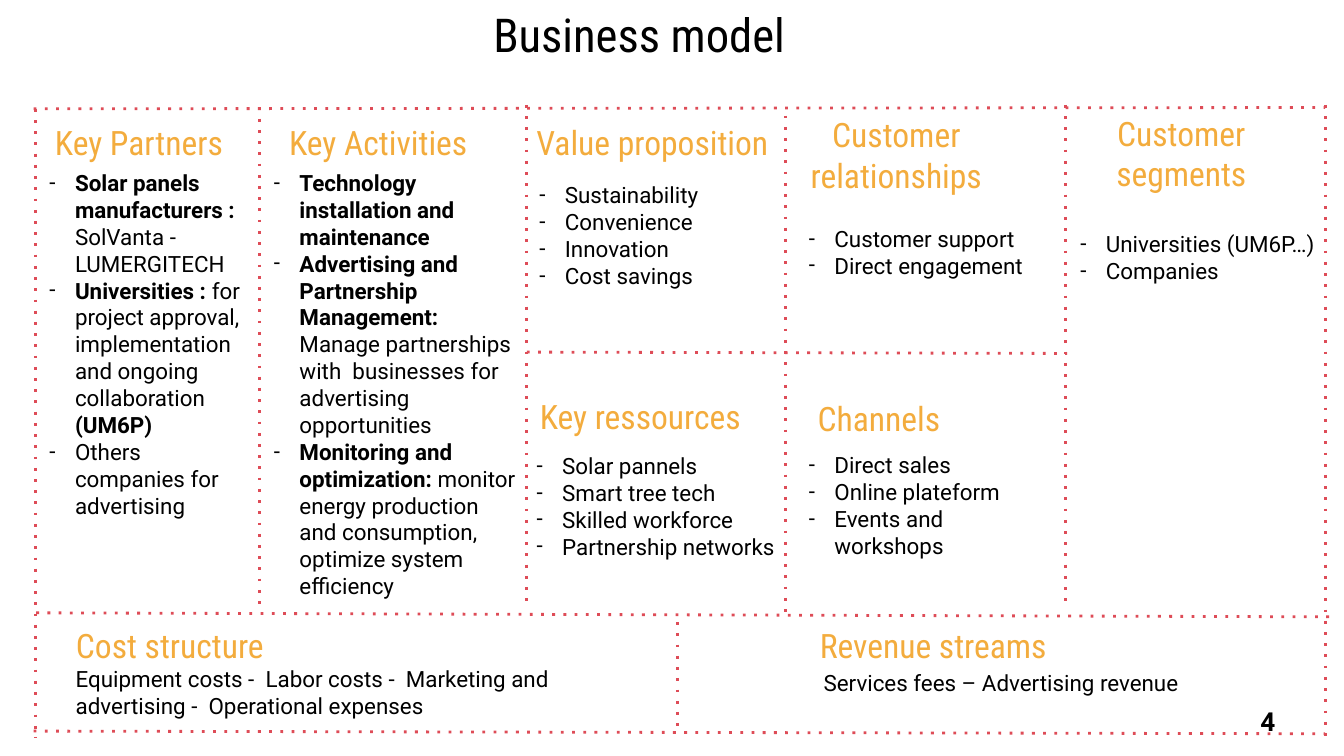
"""Build a business model canvas slide."""
from dataclasses import dataclass

from pptx import Presentation
from pptx.dml.color import RGBColor
from pptx.enum.shapes import MSO_CONNECTOR
from pptx.enum.text import MSO_ANCHOR, MSO_AUTO_SIZE, PP_ALIGN
from pptx.oxml.ns import qn
from pptx.util import Inches, Pt

STRAIGHT = MSO_CONNECTOR.STRAIGHT
MIDDLE, TOP = MSO_ANCHOR.MIDDLE, MSO_ANCHOR.TOP
GROW, FIXED = MSO_AUTO_SIZE.SHAPE_TO_FIT_TEXT, MSO_AUTO_SIZE.NONE
CENTER, LEFT = PP_ALIGN.CENTER, PP_ALIGN.LEFT

WIDE = Inches(10)
HIGH = WIDE * 9 // 16
CELL = WIDE / 100
INDENT = Inches(0.19)
HEAD_WIDTH = 20
BLACK, GOLD, RED = "000000", "F3AC3D", "DE4C57"

TITLE = {"name": "Roboto Condensed", "size": Pt(25)}
HEAD = {"name": "Roboto Condensed", "size": Pt(18)}
BODY = {"name": "Roboto", "size": Pt(12)}
NUMBER = {"name": "Roboto", "size": Pt(14), "bold": True}


@dataclass
class Rule:
    """A dotted rule between two grid points."""
    col: float
    row: float
    end_col: float
    end_row: float


@dataclass
class Head:
    """A block heading centred on a column."""
    mid: float
    row: float
    text: str
    rows: float = 4


@dataclass
class Block:
    """Body text on the grid, with bold parts between asterisks."""
    col: float
    row: float
    cols: float
    rows: float
    items: tuple[str, ...]
    dash: bool = True


RULES = [
    Rule(2.5, 8.1, 98.6, 8),
    Rule(2.7, 45.6, 98.9, 45.9),
    Rule(2.5, 54.4, 98.6, 54.6),
    Rule(39.2, 26.2, 79.4, 26.3),
    Rule(2.65, 8.1, 2.65, 54.9),
    Rule(19.3, 8, 19.3, 45.4),
    Rule(39.2, 7.8, 39.2, 45.3),
    Rule(58.45, 8.6, 58.45, 46.1),
    Rule(79.3, 7.8, 79.3, 45.3),
    Rule(98.6, 7.8, 98.6, 54.9),
    Rule(50.4, 46.3, 50.4, 54.5),
]

HEADS = [
    Head(10.35, 8.6, "Key Partners"),
    Head(28.15, 8.6, "Key Activities"),
    Head(48.55, 8.6, "Value proposition"),
    Head(66.7, 8, "Customer relationships", 7.1),
    Head(87.9, 7.9, "Customer segments", 7.1),
    Head(47.65, 29, "Key ressources"),
    Head(65.4, 29.1, "Channels"),
    Head(12.65, 46, "Cost structure"),
    Head(69.45, 46, "Revenue streams"),
]

BLOCKS = [
    Block(2.7, 12.1, 17.3, 27.3, (
        "*Solar panels manufacturers : *SolVanta - LUMERGITECH",
        "*Universities : *for project approval, implementation and ongoing "
        "collaboration *(UM6P)*",
        "Others companies for advertising")),
    Block(19.4, 12.1, 20.4, 33.3, (
        "*Technology installation and maintenance*",
        "*Advertising and Partnership Management: *Manage partnerships "
        "with  businesses for advertising opportunities",
        "*Monitoring and optimization: *monitor energy production and "
        "consumption, optimize system efficiency")),
    Block(39.15, 13, 20.4, 9.1, (
        "Sustainability", "Convenience", "Innovation", "Cost savings")),
    Block(38.95, 33.15, 20.4, 9.1, (
        "Solar pannels", "Smart tree tech", "Skilled workforce",
        "Partnership networks")),
    Block(59.2, 16.25, 20.4, 7.1, ("Customer support", "Direct engagement")),
    Block(59.2, 33.1, 20.4, 11.1, (
        "Direct sales", "Online plateform", "Events and workshops")),
    Block(79.4, 16.65, 20.4, 7.1, ("Universities (UM6P…)", "Companies")),
    Block(4.65, 49, 45.8, 5, (
        "Equipment costs -  Labor costs -  Marketing and advertising -  "
        "Operational expenses",), False),
    Block(60.3, 49.3, 39, 3, ("Services fees – Advertising revenue",), False),
]


def grid(cells: float) -> int:
    """Turn grid cells into a length."""
    return round(cells * CELL)


def paint(color, code: str) -> None:
    """Set a colour format from a hex string."""
    color.rgb = RGBColor.from_string(code)


def style(font, form: dict, code: str) -> None:
    """Apply format values and a colour to a font."""
    for key, value in form.items():
        setattr(font, key, value)
    paint(font.color, code)


def add_dash(para) -> None:
    """Give a paragraph a hanging black dash."""
    props = para._p.get_or_add_pPr()
    props.set("marL", str(INDENT))
    props.set("indent", str(-INDENT))
    tint = props.makeelement(qn("a:buClr"), {})
    tint.append(tint.makeelement(qn("a:srgbClr"), {"val": BLACK}))
    props.append(tint)
    props.append(props.makeelement(
        qn("a:buFont"), {"typeface": BODY["name"]}))
    props.append(props.makeelement(qn("a:buChar"), {"char": "-"}))


def draw_text(slide, block: Block, form: dict, code: str = BLACK,
              align=LEFT, anchor=TOP):
    """Draw a text box and return its frame."""
    box = slide.shapes.add_textbox(
        *map(grid, (block.col, block.row, block.cols, block.rows)))
    frame = box.text_frame
    frame.word_wrap = True
    frame.auto_size = GROW
    frame.vertical_anchor = anchor
    for spot, item in enumerate(block.items):
        para = frame.add_paragraph() if spot else frame.paragraphs[0]
        para.alignment = align
        if block.dash:
            add_dash(para)
        for turn, part in enumerate(item.split("*")):
            if part:
                run = para.add_run()
                run.text = part
                style(run.font, {"bold": turn % 2 == 1, **form}, code)
    return frame


def draw_title(slide) -> None:
    """Draw the slide title."""
    block = Block(2.5, -0.1, 90.1, 5.2, ("Business model",), False)
    frame = draw_text(slide, block, TITLE, align=CENTER, anchor=MIDDLE)
    frame.auto_size = FIXED
    for side in ("left", "top", "right", "bottom"):
        setattr(frame, f"margin_{side}", 0)


def draw_head(slide, head: Head) -> None:
    """Draw a gold heading."""
    block = Block(head.mid - HEAD_WIDTH / 2, head.row, HEAD_WIDTH, head.rows,
                  (head.text,), False)
    draw_text(slide, block, HEAD, GOLD, CENTER)


def draw_rule(slide, rule: Rule) -> None:
    """Draw a dotted red rule."""
    wire = slide.shapes.add_connector(STRAIGHT, *map(
        grid, (rule.col, rule.row, rule.end_col, rule.end_row)))
    wire.line.width = Pt(1.5)
    paint(wire.line.color, RED)
    props = wire._element.spPr
    edge = props.find(qn("a:ln"))
    edge.append(edge.makeelement(qn("a:prstDash"), {"val": "dot"}))
    props.append(props.makeelement(qn("a:effectLst"), {}))


def main() -> None:
    """Build and save the slide."""
    deck = Presentation()
    deck.slide_width, deck.slide_height = WIDE, HIGH
    slide = deck.slides.add_slide(deck.slide_layouts[6])
    draw_title(slide)
    for rule in RULES:
        draw_rule(slide, rule)
    for head in HEADS:
        draw_head(slide, head)
    for block in BLOCKS:
        draw_text(slide, block, BODY)
    draw_text(slide, Block(92.8, 52, 2.8, 3.4, ("4",), False), NUMBER)
    deck.save("out.pptx")


if __name__ == "__main__":
    main()
